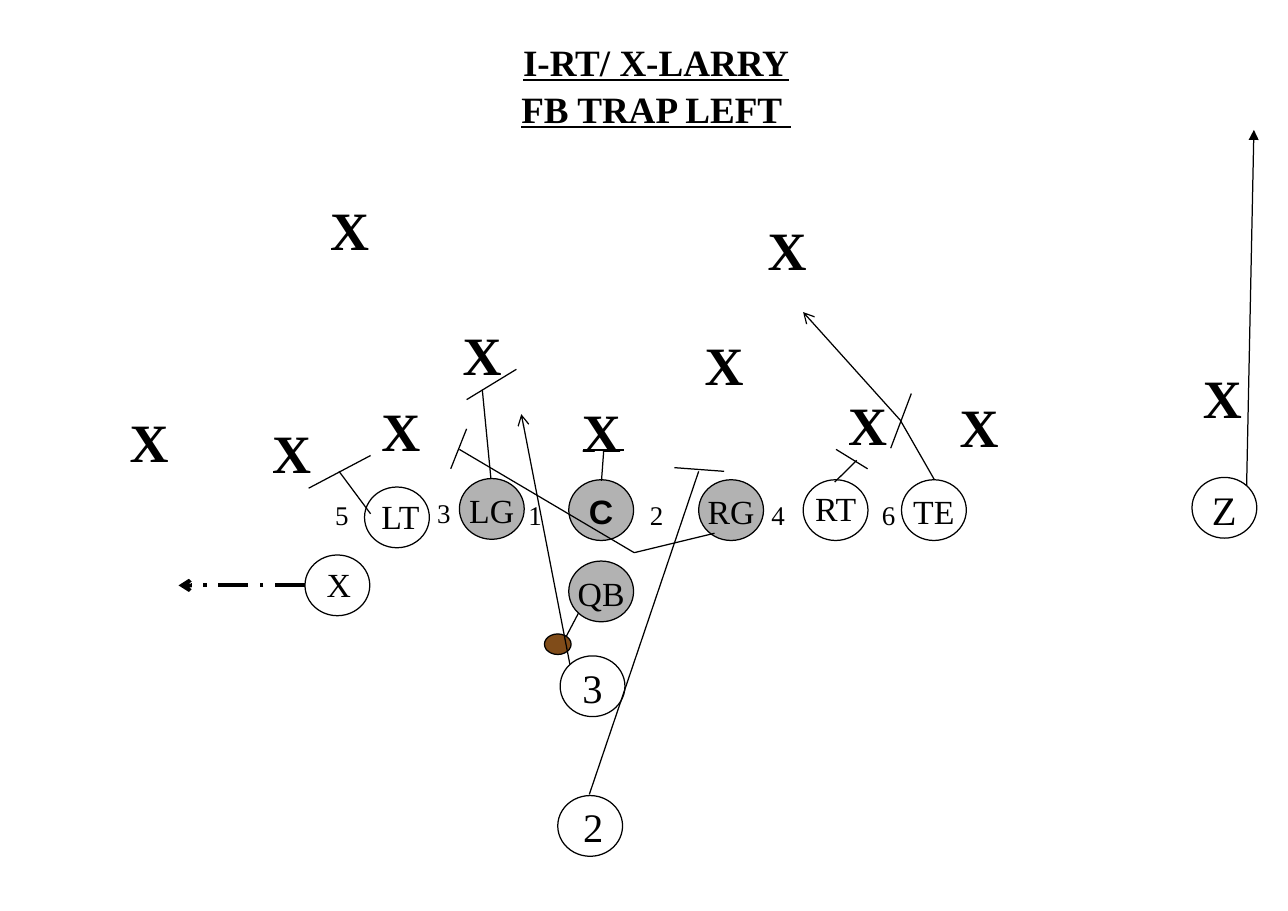
import pptx
import pptx.util
import pptx.dml.color
import pptx.enum.dml
import pptx.enum.shapes
import pptx.enum.text
import pptx.oxml.ns
import lxml.etree

Pt = pptx.util.Pt
ALIGN = pptx.enum.text.PP_ALIGN
ANCHOR = pptx.enum.text.MSO_ANCHOR
SERIF = "Times New Roman"
BLACK, WHITE, GREY, BROWN = "000000", "FFFFFF", "B2B2B2", "804C19"


def color(hex_string):
    return pptx.dml.color.RGBColor.from_string(hex_string)


def write(shape, text, size, align=ALIGN.LEFT, anchor=ANCHOR.TOP,
          bold=False, underline=False, font=SERIF, wrap=False):
    """Put text on a shape and format every run."""
    frame = shape.text_frame
    frame.text = text
    frame.word_wrap = wrap
    frame.vertical_anchor = anchor
    for paragraph in frame.paragraphs:
        paragraph.alignment = align
        paragraph.line_spacing = 1.06
        for run in paragraph.runs:
            run.font.name = font
            run.font.size = Pt(size)
            run.font.bold = bold
            run.font.underline = underline
            run.font.color.rgb = color(BLACK)


deck = pptx.Presentation()
deck.slide_width, deck.slide_height = Pt(763.2), Pt(540)
slide = deck.slides.add_slide(deck.slide_layouts[6])
shapes = slide.shapes

title = shapes.add_textbox(Pt(216), Pt(18), Pt(345.6), Pt(86.4))
write(title, "I-RT/ X-LARRY\nFB TRAP LEFT ", 22, ALIGN.CENTER,
      bold=True, underline=True, wrap=True)

# Offense: label, left, top, width, height, fill, text size, font
PLAYER = (38.4, 36)
offense = [
    ("C", 337, 284.4, *PLAYER, GREY, 20, "Arial"),
    ("RG", 414, 284.4, *PLAYER, GREY, 20, SERIF),
    ("LG", 272.2, 283.7, *PLAYER, GREY, 20, SERIF),
    ("QB", 337, 332.6, *PLAYER, GREY, 20, SERIF),
    ("", 330.5, 471.6, *PLAYER, WHITE, 24, SERIF),
    ("", 475.9, 284.4, *PLAYER, WHITE, 20, SERIF),
    ("", 180.7, 329, *PLAYER, WHITE, 20, SERIF),
    ("", 216, 288.7, *PLAYER, WHITE, 20, SERIF),
    ("Z", 706.3, 283, *PLAYER, WHITE, 24, SERIF),
    ("TE", 534.2, 284.4, *PLAYER, WHITE, 20, SERIF),
    ("3", 331.9, 388.8, *PLAYER, WHITE, 24, SERIF),
    ("", 322.6, 375.8, 15.8, 12.2, BROWN, 20, SERIF),  # the ball
]
for label, left, top, width, height, fill, size, font in offense:
    player = shapes.add_shape(pptx.enum.shapes.MSO_SHAPE.OVAL,
                              Pt(left), Pt(top), Pt(width), Pt(height))
    player.shadow.inherit = False
    player.fill.solid()
    player.fill.fore_color.rgb = color(fill)
    player.line.color.rgb = color(BLACK)
    player.line.width = Pt(0.75)
    if label:
        write(player, label, size, ALIGN.CENTER, ANCHOR.MIDDLE,
              bold=label == "C", font=font)

# Labels set slightly off the centre of their circles
offset_labels = [("2", 338.4, 470.2, 25.9, 36, 24), ("LT", 218.9, 288.7, 38.9, 31.7, 20),
                 ("X", 186.5, 329, 28.8, 31.7, 20), ("RT", 475.9, 284.4, 39.6, 31.7, 20)]
gap_numbers = [(number, left, top, 24.5, 31, 16) for number, left, top in [
    ("5", 191.5, 290.9), ("3", 252, 289.4), ("1", 306, 290.9),
    ("2", 378, 290.9), ("4", 450, 290.9), ("6", 515.5, 290.9)]]
defenders = [("X", left, top, 37.4, 46.1, 32) for left, top in [
    (69.8, 236.2), (154.1, 242.6), (218.9, 229.7), (267.1, 185), (337.7, 230.4),
    (410.4, 190.8), (495.4, 226.1), (561.6, 227.5), (705.6, 210.2),
    (188.6, 110.9), (447.8, 122.4)]]
for label, left, top, width, height, size in offset_labels + gap_numbers + defenders:
    box = shapes.add_textbox(Pt(left), Pt(top), Pt(width), Pt(height))
    write(box, label, size, bold=size == 32)

# Assignments: start x, y, end x, y, arrowhead
assignments = [
    (356.4, 285.1, 357.8, 266.4, None),     # center block
    (345.6, 266.7, 369.7, 266.7, None),
    (423.4, 316.1, 375.8, 327.6, None),     # right guard trap
    (375.8, 327.6, 272.2, 266.4, None),
    (267.1, 277.9, 276.5, 254.2, None),
    (507.6, 272.9, 494.6, 285.8, None),     # right tackle block
    (495.4, 266.4, 514.1, 277.9, None),
    (342.7, 363.6, 335.5, 377.3, None),     # handoff
    (290.9, 283.7, 285.8, 231.1, None),     # left guard block
    (276.5, 236.9, 306, 218.9, None),
    (219.6, 304.6, 200.9, 279.4, None),     # left tackle block
    (182.9, 289.4, 219.6, 270, None),
    (738.7, 288, 743, 77, "triangle"),      # Z route
    (180.7, 347, 105.8, 347, "arrow"),      # X motion
    (337.7, 393.8, 308.9, 245.5, "arrow"),  # fullback run
    (349.2, 470.9, 414, 279.4, None),       # tailback block
    (399.6, 277.2, 429.1, 279.4, None),
    (553.7, 284.4, 533.5, 249.1, None),     # tight end release
    (527.8, 265.7, 540, 233.3, None),
    (533.5, 249.1, 475.9, 185, "arrow"),
]
for x1, y1, x2, y2, arrowhead in assignments:
    path_line = shapes.add_connector(pptx.enum.shapes.MSO_CONNECTOR.STRAIGHT,
                                     Pt(x1), Pt(y1), Pt(x2), Pt(y2))
    path_line.line.color.rgb = color(BLACK)
    path_line.line.width = Pt(0.75)
    if arrowhead and y1 == y2:
        path_line.line.width = Pt(2.25)
        path_line.line.dash_style = pptx.enum.dml.MSO_LINE.LONG_DASH_DOT
    if arrowhead:
        lxml.etree.SubElement(path_line.line._get_or_add_ln(),
                              pptx.oxml.ns.qn("a:tailEnd"), type=arrowhead)
    lxml.etree.SubElement(path_line._element.spPr, pptx.oxml.ns.qn("a:effectLst"))

deck.save("out.pptx")
